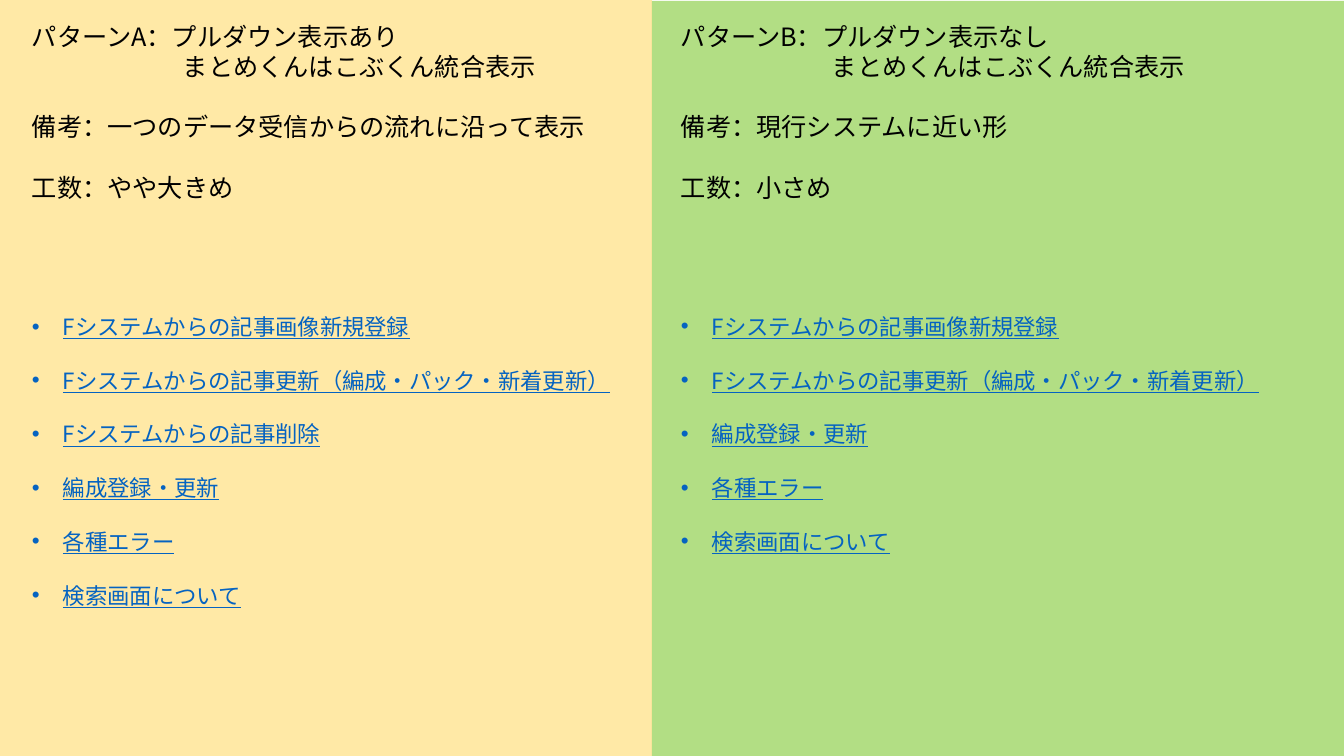
from dataclasses import dataclass

from lxml import etree
from pptx import Presentation
from pptx.dml.color import RGBColor
from pptx.enum.shapes import MSO_SHAPE
from pptx.oxml.ns import qn
from pptx.util import Emu, Pt

RECTANGLE = MSO_SHAPE.RECTANGLE
PX = 9144000 / 1008  # EMU per pixel at 100.8 px per inch
FONT = "Noto Sans CJK JP"
BLACK, LINK_BLUE = "000000", "0563C1"
LINE_FACTOR = 1.2
SUMMARY_TOP, TOPICS_TOP = 16, 308
SUMMARY_HEIGHT, TOPICS_WIDTH, TOPIC_PITCH = 194, 657, 54
SUBLINE_INDENT, BULLET_INDENT = 151, 31


@dataclass
class Pattern:
    panel: tuple[int, int, int, int]
    panel_color: str
    opacity: int
    text_left: int
    summary_width: int
    name: str
    remark: str
    effort: str
    topics: list[str]


def px(length: float) -> Emu:
    return Emu(round(length * PX))


def rgb(color: str) -> RGBColor:
    return RGBColor.from_string(color)


def add_panel(slide, pattern: Pattern) -> None:
    panel = slide.shapes.add_shape(RECTANGLE, *map(px, pattern.panel))
    panel.shadow.inherit = False
    panel.line.fill.background()
    panel.fill.solid()
    panel.fill.fore_color.rgb = rgb(pattern.panel_color)
    color = panel.fill._xPr.find(qn("a:solidFill"))[0]
    etree.SubElement(color, qn("a:alpha"), val=str(pattern.opacity * 1000))


def add_text_frame(slide, left: int, top: int, width: int, height: int):
    frame = slide.shapes.add_textbox(*map(px, (left, top, width, height))).text_frame
    frame.word_wrap = True
    return frame


def add_line(frame, text: str, size: int, color: str, gap: bool,
             indent: int = 0, link: bool = False) -> None:
    """Write one paragraph; a gap is one empty line's height before it."""
    line = frame.paragraphs[0]
    if line.runs:
        line = frame.add_paragraph()
    line.add_run().text = text
    line.line_spacing = Pt(size * LINE_FACTOR)
    line.space_before = Pt(size * LINE_FACTOR if gap else 0)
    line.font.size = Pt(size)
    line.font.color.rgb = rgb(color)
    line.font.name = FONT
    if link:
        line.font.underline = True
    properties = line._p.get_or_add_pPr()
    properties.set("marL", str(px(indent)))
    properties.set("indent", str(px(-indent if link else 0)))
    defaults = properties.find(qn("a:defRPr"))
    etree.SubElement(defaults, qn("a:ea"), typeface=FONT)
    if link:
        bullet_font = etree.Element(qn("a:buFont"), typeface="Arial")
        bullet = etree.Element(qn("a:buChar"), char="•")
        defaults.addprevious(bullet_font)
        defaults.addprevious(bullet)


def add_summary(slide, pattern: Pattern) -> None:
    frame = add_text_frame(slide, pattern.text_left, SUMMARY_TOP,
                           pattern.summary_width, SUMMARY_HEIGHT)
    add_line(frame, pattern.name, 18, BLACK, gap=False)
    add_line(frame, "まとめくんはこぶくん統合表示", 18, BLACK, gap=False,
             indent=SUBLINE_INDENT)
    for text in (f"備考：{pattern.remark}", f"工数：{pattern.effort}"):
        add_line(frame, text, 18, BLACK, gap=True)


def add_topics(slide, pattern: Pattern) -> None:
    frame = add_text_frame(slide, pattern.text_left, TOPICS_TOP, TOPICS_WIDTH,
                           TOPIC_PITCH * len(pattern.topics) - 16)
    for index, topic in enumerate(pattern.topics):
        add_line(frame, topic, 16, LINK_BLUE, gap=index > 0,
                 indent=BULLET_INDENT, link=True)


REGISTRATION = ["Fシステムからの記事画像新規登録",
                "Fシステムからの記事更新（編成・パック・新着更新）"]
DELETION = ["Fシステムからの記事削除"]
COMMON = ["編成登録・更新", "各種エラー", "検索画面について"]

PATTERNS = [
    Pattern((652, 1, 692, 755), "92D050", 70, 671, 529,
            "パターンB：プルダウン表示なし", "現行システムに近い形", "小さめ",
            REGISTRATION + COMMON),
    Pattern((0, 0, 652, 756), "FFC000", 35, 22, 581,
            "パターンA：プルダウン表示あり", "一つのデータ受信からの流れに沿って表示",
            "やや大きめ", REGISTRATION + DELETION + COMMON),
]

presentation = Presentation()
presentation.slide_width, presentation.slide_height = px(1344), px(756)
comparison = presentation.slides.add_slide(presentation.slide_layouts[6])

# Coloured halves, then their texts
for pattern in PATTERNS:
    add_panel(comparison, pattern)
for pattern in PATTERNS:
    add_summary(comparison, pattern)
    add_topics(comparison, pattern)

presentation.save("out.pptx")
